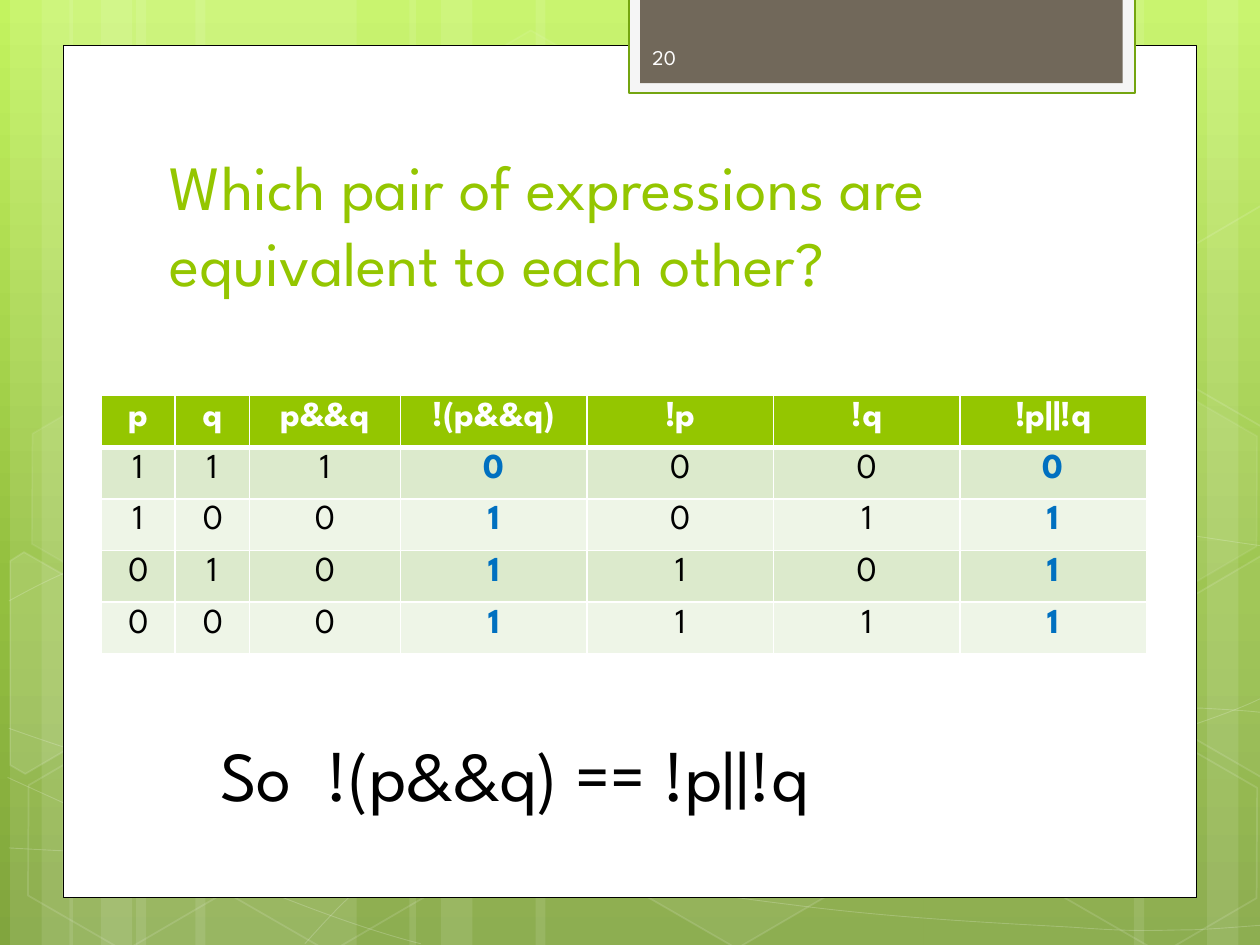
import math

from pptx import Presentation
from pptx import util as u
from pptx.dml.color import RGBColor
from pptx.enum import shapes, text
from pptx.oxml import parse_xml
from pptx.oxml.ns import nsdecls, qn
from lxml import etree

WIDTH, HEIGHT = 10, 7.5
FONT = "League Spartan"
WHITE, BLACK, GREEN, BLUE = "FFFFFF", "000000", "94C600", "0070C0"
BACKGROUND = [(0, "C3F35F"), (62, "93BF3F"), (100, "81A53E")]

TITLE = "Which pair of expressions are equivalent to each other?"
CONCLUSION = "So  !(p&&q) == !p||!q"
PAGE = "20"
HEADER = ["p", "q", "p&&q", "!(p&&q)", "!p", "!q", "!p||!q"]
TRUTH = ["1110000", "1001011", "0101101", "0001111"]
EQUIVALENT = (3, 6)
BANDS = ["DCEACC", "EEF5E7"]
COLUMNS = [0.59, 0.59, 1.2] + [1.48] * 4
ROW = 0.41

# left, width
STRIPES = [(1.08, 1.75), (0.08, 0.5), (0.33, 0.83), (1.55, 1.75), (0.55, 0.5), (0.8, 0.83),
           (7.33, 1.75), (9.58, 0.5), (9, 0.83), (4.25, 3.08), (3.25, 0.5), (3.5, 0.83)]
# start point, then segments: six numbers for a curve, two for a straight line
WAVES = [
    [(0.07, 6.73), (0.61, 6.76, 1.15, 6.79, 1.9, 6.78), (2.65, 6.77, 3.58, 6.75, 4.58, 6.65),
     (5.58, 6.55, 7, 6.36, 7.92, 6.17), (8.83, 5.98, 9.77, 5.68, 10.07, 5.51)],
    [(0.07, 4.77), (0.36, 4.61, 0.65, 4.46, 1.21, 4.31), (1.78, 4.16, 2.59, 3.94, 3.47, 3.87),
     (4.36, 3.8, 5.44, 3.79, 6.54, 3.87), (7.64, 3.95, 9.47, 4.26, 10.07, 4.34)],
    [(0.06, 6.17), (1.27, 6.72, 2.47, 7.27, 3.34, 7.49)],
    [(0.07, 5.78), (0.38, 5.89, 0.7, 6, 1.28, 6.16), (1.86, 6.31, 2.73, 6.56, 3.57, 6.73),
     (4.4, 6.9, 5.45, 7.08, 6.28, 7.18), (7.11, 7.29, 8, 7.33, 8.53, 7.36),
     (9.05, 7.4, 9.19, 7.38, 9.45, 7.38), (9.71, 7.37, 9.89, 7.35, 10.07, 7.34)],
    [(2.42, 7.49), (2.6, 7.29, 2.78, 7.09, 3.02, 6.91), (3.26, 6.73, 3.6, 6.53, 3.88, 6.39),
     (4.16, 6.25, 4.33, 6.19, 4.7, 6.09), (5.06, 5.99, 5.73, 5.85, 6.08, 5.78),
     (6.44, 5.71, 6.49, 5.71, 6.8, 5.69), (7.11, 5.66, 7.6, 5.63, 7.94, 5.62),
     (8.29, 5.61, 8.86, 5.62, 8.86, 5.62), (9.53, 5.62),
     (9.71, 5.63, 9.88, 5.64, 9.97, 5.65), (10.06, 5.66, 10.03, 5.65, 10.06, 5.66)],
]
# left, top, fill opacity, line opacity
HEXAGONS = [(3.34, 0.36, 4, 8), (4.97, 5.89, 6, 12), (0.11, 5.91, 0, 12), (0.14, 3.12, 7, 8),
            (1.74, 5.92, 0, 12), (7.53, 4.53, 10, 12), (8.34, 5.93, 0, 12), (8.34, 3.14, 7, 8)]
TILT = 30
# fill opacity, centre of rotation, corners as they stand after rotation
CUT_HEXAGONS = [
    (10, (0.36, 5.35),
     [(0.08, 4.45), (0.19, 4.38), (0.96, 4.82), (0.95, 5.7), (0.2, 6.14), (0.08, 6.07)]),
    (4, (9.85, 5.2),
     [(9.26, 4.85), (10.01, 4.41), (10.09, 4.46), (10.09, 6.13), (10.02, 6.17), (9.26, 5.73)]),
    (0, (9.85, 2.41),
     [(9.26, 2.07), (10.01, 1.63), (10.1, 1.68), (10.09, 3.35), (10.02, 3.39), (9.26, 2.95)]),
]


def rgb(color):
    return RGBColor.from_string(color)


def set_color(fill, color, opacity):
    """Solid colour with an opacity in percent; 0 means no fill."""
    if not opacity:
        fill.background()
        return
    fill.solid()
    fill.fore_color.rgb = rgb(color)
    if opacity < 100:
        clr = fill._xPr.find(".//" + qn("a:srgbClr"))
        etree.SubElement(clr, qn("a:alpha"), val=str(opacity * 1000))


def paint(sp, fill=WHITE, opacity=100, line=WHITE, width=1, line_opacity=0):
    sp.shadow.inherit = False
    set_color(sp.fill, fill, opacity)
    set_color(sp.line.fill, line, line_opacity)
    if line_opacity:
        sp.line.width = u.Pt(width)


def add_shape(slide, kind, *box):
    return slide.shapes.add_shape(kind, *map(u.Inches, box))


def add_outline(slide, points, close):
    start, *rest = [(u.Inches(x), u.Inches(y)) for x, y in points]
    builder = slide.shapes.build_freeform(*start)
    builder.add_line_segments(rest, close=close)
    return builder.convert_to_shape()


def add_wave(slide, start, *segments):
    """Lay out all control points as lines, then join each three into one curve."""
    points = [start] + [s[i:i + 2] for s in segments for i in range(0, len(s), 2)]
    sp = add_outline(slide, points, False)
    lines = iter(list(sp._element.iter(qn("a:lnTo"))))
    for segment in segments:
        first = next(lines)
        if len(segment) == 6:
            first.tag = qn("a:cubicBezTo")
            for line in (next(lines), next(lines)):
                first.append(line[0])
                line.getparent().remove(line)
    return sp


def untilt(point, center):
    """Where the point lies before the shape is turned by TILT about its centre."""
    x, y = point[0] - center[0], point[1] - center[1]
    cos, sin = math.cos(math.radians(TILT)), math.sin(math.radians(TILT))
    return center[0] + x * cos + y * sin, center[1] - x * sin + y * cos


def style(p, size, color, bold=False):
    p.font.name, p.font.size, p.font.bold = FONT, u.Pt(size), bold
    p.font.color.rgb = rgb(color)


def add_text(slide, box, words, size, color, anchor=text.MSO_ANCHOR.TOP):
    tf = slide.shapes.add_textbox(*map(u.Inches, box)).text_frame
    tf.word_wrap, tf.vertical_anchor = True, anchor
    p = tf.paragraphs[0]
    p.text = words
    style(p, size, color)
    return p


def add_background(slide):
    stops = "".join(f'<a:gs pos="{pos * 1000}"><a:srgbClr val="{color}"/></a:gs>'
                    for pos, color in BACKGROUND)
    slide.element.cSld.insert(0, parse_xml(
        f'<p:bg {nsdecls("p", "a")}><p:bgPr><a:gradFill rotWithShape="1"><a:gsLst>{stops}</a:gsLst>'
        '<a:lin ang="5400000" scaled="0"/></a:gradFill><a:effectLst/></p:bgPr></p:bg>'))


def add_decoration(slide):
    for left, width in STRIPES:
        paint(add_shape(slide, shapes.MSO_SHAPE.RECTANGLE, left, 0, width, HEIGHT), opacity=10)
    for wave in WAVES:
        paint(add_wave(slide, *wave), opacity=0, width=0.5, line_opacity=20)
    for left, top, opacity, line_opacity in HEXAGONS:
        sp = add_shape(slide, shapes.MSO_SHAPE.HEXAGON, left, top, 1.75, 1.52)
        sp.rotation, sp.adjustments[0] = TILT, 0.285
        paint(sp, opacity=opacity, line_opacity=line_opacity)
    for opacity, center, corners in CUT_HEXAGONS:
        sp = add_outline(slide, [untilt(corner, center) for corner in corners], True)
        sp.rotation = TILT
        paint(sp, opacity=opacity, line_opacity=12)


def add_panels(slide):
    rect = shapes.MSO_SHAPE.RECTANGLE
    paint(add_shape(slide, rect, 0.5, 0.36, 9, 6.76), line=BLACK, width=0.5, line_opacity=100)
    paint(add_shape(slide, rect, 4.99, -0.02, 4.02, 0.76), "F5F5F5", line="74A510",
          width=1.25, line_opacity=100)
    paint(add_shape(slide, rect, 5.08, -0.02, 3.83, 0.68), "71685A")


def add_borders(cell, is_header):
    for side in "LRTB":
        width = u.Pt(3 if is_header and side == "B" else 1)
        cell._tc.get_or_add_tcPr().append(parse_xml(
            f'<a:ln{side} {nsdecls("a")} w="{width}"><a:solidFill><a:srgbClr val="{WHITE}"/>'
            f'</a:solidFill></a:ln{side}>'))


def add_truth_table(slide):
    rows = [HEADER, *TRUTH]
    table = slide.shapes.add_table(len(rows), len(COLUMNS), *map(
        u.Inches, (0.8, 3.14, sum(COLUMNS), ROW * len(rows)))).table
    for column, width in zip(table.columns, COLUMNS):
        column.width = u.Inches(width)
    for i, values in enumerate(rows):
        for j, value in enumerate(values):
            cell = table.cell(i, j)
            cell.margin_left = cell.margin_right = u.Inches(0.22)
            cell.margin_bottom = u.Inches(0.02)
            add_borders(cell, i == 0)
            set_color(cell.fill, BANDS[(i - 1) % 2] if i else GREEN, 100)
            p = cell.text_frame.paragraphs[0]
            p.text, p.alignment = value, text.PP_ALIGN.CENTER
            marked = j in EQUIVALENT
            style(p, 20, WHITE if i == 0 else BLUE if marked else BLACK, i == 0 or marked)


def main():
    prs = Presentation()
    prs.slide_width, prs.slide_height = u.Inches(WIDTH), u.Inches(HEIGHT)
    slide = prs.slides.add_slide(prs.slide_layouts[6])
    add_background(slide)
    add_decoration(slide)
    add_panels(slide)
    add_text(slide, (1.25, 1.17, 7.68, 1.25), TITLE, 36, GREEN, text.MSO_ANCHOR.BOTTOM)
    add_truth_table(slide)
    add_text(slide, (5.08, 0.25, 1.46, 0.4), PAGE, 12, "FEFEFE", text.MSO_ANCHOR.MIDDLE)
    p = add_text(slide, (1.58, 5.76, 7.25, 0.77), CONCLUSION, 40, BLACK)
    p._p.get_or_add_pPr().set("marL", str(u.Inches(0.07)))
    prs.save("out.pptx")


if __name__ == "__main__":
    main()
